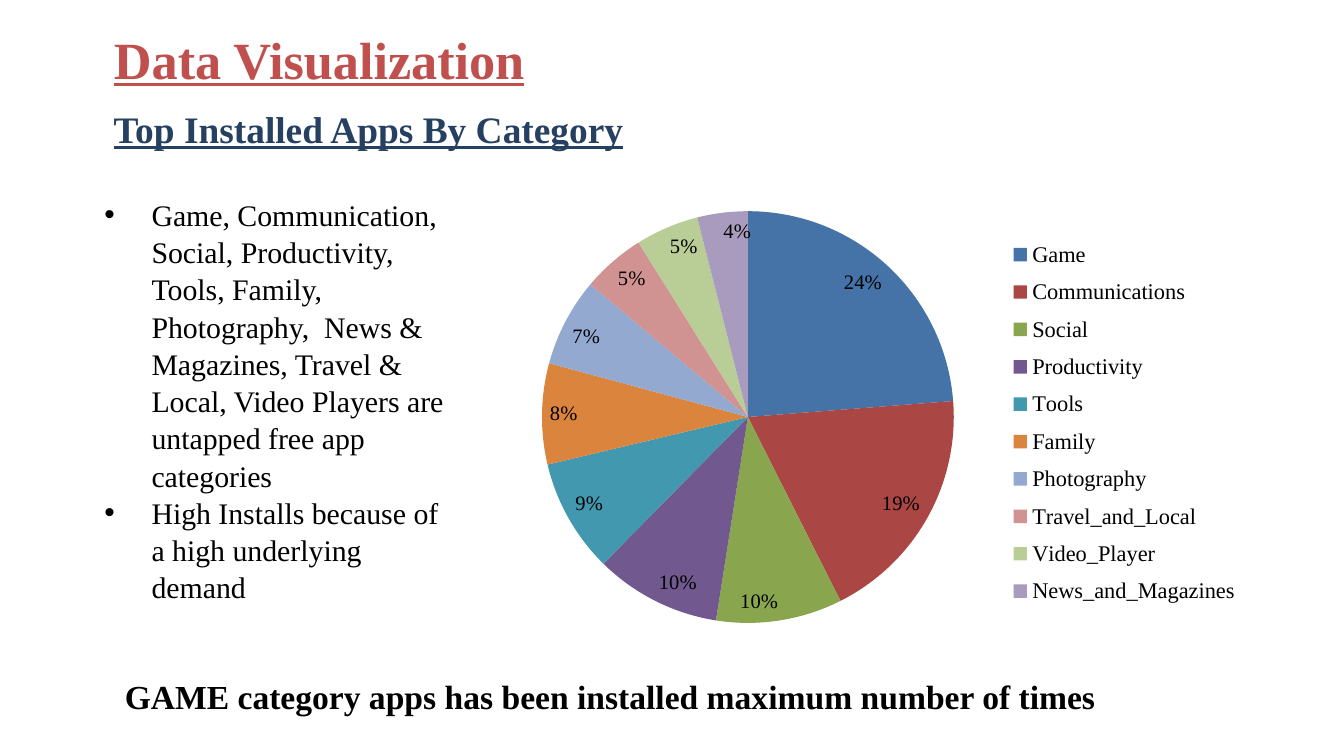
import dataclasses

import lxml.etree
import pptx
import pptx.chart.data
import pptx.dml.color
import pptx.enum.chart
import pptx.enum.text
import pptx.oxml
import pptx.oxml.ns
import pptx.util

Cm = pptx.util.Cm
Pt = pptx.util.Pt
RGBColor = pptx.dml.color.RGBColor
qn = pptx.oxml.ns.qn

FONT = "Times New Roman"
RED = RGBColor(0xC0, 0x50, 0x4D)
NAVY = RGBColor(0x25, 0x40, 0x61)
BLACK = RGBColor(0, 0, 0)


@dataclasses.dataclass
class Frame:
    """A place on the page, in centimetres."""
    left: float
    top: float
    width: float
    height: float

    def lengths(self) -> tuple:
        return Cm(self.left), Cm(self.top), Cm(self.width), Cm(self.height)


@dataclasses.dataclass
class Slice:
    category: str
    percent: int
    color: RGBColor


SLICES = [
    Slice("Game", 24, RGBColor(0x45, 0x72, 0xA7)),
    Slice("Communications", 19, RGBColor(0xAA, 0x46, 0x43)),
    Slice("Social", 10, RGBColor(0x89, 0xA5, 0x4E)),
    Slice("Productivity", 10, RGBColor(0x71, 0x58, 0x8F)),
    Slice("Tools", 9, RGBColor(0x41, 0x98, 0xAF)),
    Slice("Family", 8, RGBColor(0xDB, 0x84, 0x3D)),
    Slice("Photography", 7, RGBColor(0x93, 0xA9, 0xCF)),
    Slice("Travel_and_Local", 5, RGBColor(0xD1, 0x93, 0x92)),
    Slice("Video_Player", 5, RGBColor(0xB9, 0xCD, 0x96)),
    Slice("News_and_Magazines", 4, RGBColor(0xA9, 0x9B, 0xBD)),
]

FINDINGS = [
    "Game, Communication, Social, Productivity, Tools, Family, Photography,  "
    "News & Magazines, Travel & Local, Video Players are untapped free app categories",
    "High Installs because of a high underlying demand",
]


def style_font(font, size: float, color: RGBColor = BLACK,
               bold: bool = False, underline: bool = False) -> None:
    font.name = FONT
    font.size = Pt(size)
    font.color.rgb = color
    font.bold = bold
    font.underline = underline


def write_text(box, frame: Frame, lines: list[str], *, bulleted: bool = False,
               line_spacing: float = 1.0, **font_format) -> None:
    """Place the box and fill it with one paragraph for each line."""
    box.left, box.top, box.width, box.height = frame.lengths()
    text_frame = box.text_frame
    text_frame.word_wrap = True
    text_frame.auto_size = pptx.enum.text.MSO_AUTO_SIZE.NONE
    text_frame.vertical_anchor = pptx.enum.text.MSO_ANCHOR.TOP
    for index, line in enumerate(lines):
        para = text_frame.add_paragraph() if index else text_frame.paragraphs[0]
        para.alignment = pptx.enum.text.PP_ALIGN.LEFT
        para.space_before = Pt(0)
        para.line_spacing = line_spacing
        if bulleted:
            properties = para._p.get_or_add_pPr()
            properties.set("marL", str(Cm(0.91)))
            properties.set("indent", str(-Cm(0.89)))
        span = para.add_run()
        span.text = line
        style_font(span.font, **font_format)


def set_layout(element, **fractions: float) -> None:
    """Fix the place of a plot area or legend as fractions of its chart."""
    for old in element.findall(qn("c:layout")):
        element.remove(old)
    layout = lxml.etree.Element(qn("c:layout"))
    manual = lxml.etree.SubElement(layout, qn("c:manualLayout"))
    is_plot = element.tag == qn("c:plotArea")
    settings = {"xMode": "edge", "yMode": "edge", **fractions}
    if is_plot:
        settings = {"layoutTarget": "inner", **settings}
    for name, value in settings.items():
        lxml.etree.SubElement(manual, qn(f"c:{name}")).set("val", str(value))
    # The layout comes first in a plot area and after the position in a legend.
    element.insert(0 if is_plot else 1, layout)


def add_pie(page, frame: Frame, slices: list[Slice]) -> None:
    data = pptx.chart.data.CategoryChartData()
    data.categories = [part.category for part in slices]
    data.add_series("Series 1", [part.percent for part in slices])
    chart = page.shapes.add_chart(
        pptx.enum.chart.XL_CHART_TYPE.PIE, *frame.lengths(), data).chart
    chart.has_title = False
    style_font(chart.font, 12)

    chart.has_legend = True
    legend = chart.legend
    legend.position = pptx.enum.chart.XL_LEGEND_POSITION.RIGHT
    legend.include_in_layout = False
    style_font(legend.font, 12)
    set_layout(legend._element, x=0.69, y=0.22, w=0.28, h=0.65)

    plot = chart.plots[0]
    plot.vary_by_categories = True
    set_layout(plot._element.getparent(), x=0.18, y=0.19, w=0.46, h=0.69)
    plot.has_data_labels = True
    labels = plot.data_labels
    labels.show_percentage = True
    labels.show_value = False
    labels.number_format = "0%"
    labels.number_format_is_linked = False
    labels.position = pptx.enum.chart.XL_LABEL_POSITION.INSIDE_END
    style_font(labels.font, 11)
    for index, part in enumerate(slices):
        fill = plot.series[0].points[index].format.fill
        fill.solid()
        fill.fore_color.rgb = part.color


def main() -> None:
    deck = pptx.Presentation()
    deck.slide_width, deck.slide_height = Cm(25.4), Cm(14.29)
    page = deck.slides.add_slide(deck.slide_layouts[1])

    write_text(page.shapes.title, Frame(1.9, 0.38, 14.81, 1.45),
               ["Data Visualization"], size=28, color=RED, bold=True, underline=True)

    subtitle = Frame(1.9, 1.88, 15.04, 1.12)
    write_text(page.shapes.add_textbox(*subtitle.lengths()), subtitle,
               ["Top Installed Apps By Category"],
               size=20, color=NAVY, bold=True, underline=True)

    write_text(page.placeholders[1], Frame(1.7, 3.56, 7.19, 9.25), FINDINGS,
               bulleted=True, line_spacing=1.04, size=16)

    add_pie(page, Frame(7.19, 1.85, 16.94, 11.28), SLICES)

    caption = Frame(2.11, 12.65, 22.86, 1.04)
    write_text(page.shapes.add_textbox(*caption.lengths()), caption,
               ["GAME category apps has been installed maximum number of times"],
               size=18, bold=True)

    deck.save("out.pptx")


if __name__ == "__main__":
    main()
